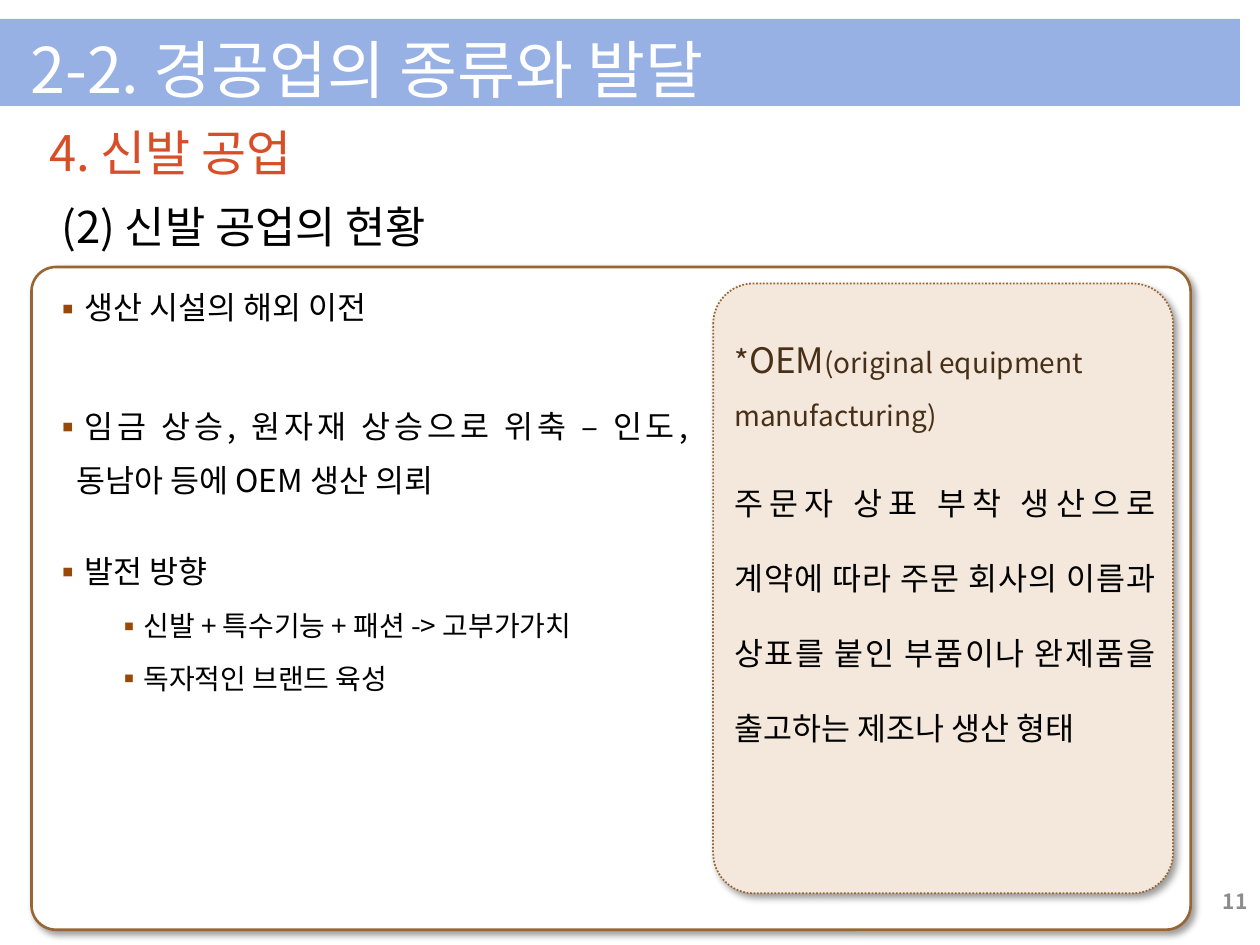
from lxml.etree import SubElement
from pptx import Presentation
from pptx.dml.color import RGBColor
from pptx.enum.dml import MSO_LINE
from pptx.enum.shapes import MSO_SHAPE
from pptx.enum.text import MSO_ANCHOR, MSO_AUTO_SIZE, PP_ALIGN
from pptx.oxml.ns import qn
from pptx.util import Pt

THEME = {
    "font": "Noto Sans CJK KR",
    "colors": {
        "band": "97B1E5", "paper": "FFFFFF", "frame": "996633", "panel": "F4E8DC",
        "section": "D84E28", "ink": "000000", "bullet": "984807",
        "term": "483018", "number": "8C8C8C", "shadow": "000000",
    },
    "sizes": {"title": 36, "section": 28, "topic": 25, "term": 20,
              "body": 18, "detail": 16, "number": 12},
}

# Each paragraph: runs of (text, size, color), then its format values.
TITLE = [{"runs": [("2-2. 경공업의 종류와 발달", "title", "paper")], "line": 44,
          "left": 35.3, "hang": 35.3}]
SECTION = [{"runs": [("4. 신발 공업", "section", "section")], "line": 36,
            "left": 20.9, "hang": -7.2}]
TOPIC = [{"runs": [("(2) 신발 공업의 현황", "topic", "ink")], "line": 32,
          "left": 28.8, "hang": 28.8}]
POINTS = [
    ("생산 시설의 해외 이전", 0, 0),
    ("임금 상승, 원자재 상승으로 위축 – 인도, 동남아 등에 OEM 생산 의뢰", 0, 36.5),
    ("발전 방향", 0, 21),
    ("신발 + 특수기능 + 패션 -> 고부가가치", 1, 2.5),
    ("독자적인 브랜드 육성", 1, 2.5),
]
LEVELS = [
    {"size": "body", "line": 31, "left": 13.7},
    {"size": "detail", "line": 27.5, "left": 49.7},
]
DEFINITION = [
    {"runs": [("*", "body", "term"), ("OEM", "term", "term"),
              ("(original equipment manufacturing)", "detail", "term")], "line": 29.7},
    {"runs": [("주문자 상표 부착 생산으로 계약에 따라 주문 회사의 이름과 상표를 붙인 "
               "부품이나 완제품을 출고하는 제조나 생산 형태", "body", "ink")],
     "line": 43, "before": 8, "align": PP_ALIGN.JUSTIFY},
]
NUMBER = [{"runs": [("11", "number", "number")], "bold": True, "align": PP_ALIGN.RIGHT}]


def color(name):
    """Return a theme colour."""
    return RGBColor.from_string(THEME["colors"][name])


def place(shape, box):
    """Move and size a shape, in points."""
    for name, value in zip(("left", "top", "width", "height"), box):
        setattr(shape, name, Pt(value))


def point_paragraphs():
    """Turn the bullet points into formatted paragraphs."""
    for text, level, before in POINTS:
        style = LEVELS[level]
        yield {"runs": [(text, style["size"], "ink")], "line": style["line"],
               "left": style["left"], "hang": 13.7, "before": before,
               "level": level, "align": PP_ALIGN.JUSTIFY, "bullet": "▪"}


def add_bullet(properties, character):
    """Give a paragraph a coloured bullet."""
    bullet_color = SubElement(properties, qn("a:buClr"))
    SubElement(bullet_color, qn("a:srgbClr"), val=THEME["colors"]["bullet"])
    SubElement(properties, qn("a:buFont"), typeface=THEME["font"])
    SubElement(properties, qn("a:buChar"), char=character)


def write_run(paragraph, text, size, color_name, bold):
    """Add one run with its font."""
    run = paragraph.add_run()
    run.text = text
    values = {"name": THEME["font"], "size": Pt(THEME["sizes"][size]), "bold": bold}
    for name, value in values.items():
        setattr(run.font, name, value)
    run.font.color.rgb = color(color_name)
    SubElement(run.font._element, qn("a:ea"), typeface=THEME["font"])


def write_text(shape, paragraphs, insets=(7.2, 3.6, 7.2, 3.6), anchor=MSO_ANCHOR.TOP):
    """Fill a text frame with formatted paragraphs."""
    frame = shape.text_frame
    values = {"word_wrap": True, "auto_size": MSO_AUTO_SIZE.NONE,
              "vertical_anchor": anchor}
    sides = ("margin_left", "margin_top", "margin_right", "margin_bottom")
    values.update(zip(sides, map(Pt, insets)))
    for name, value in values.items():
        setattr(frame, name, value)
    for index, content in enumerate(paragraphs):
        paragraph = frame.add_paragraph() if index else frame.paragraphs[0]
        formats = {"alignment": content.get("align", PP_ALIGN.LEFT),
                   "level": content.get("level", 0),
                   "space_before": Pt(content.get("before", 0)),
                   "line_spacing": Pt(content["line"]) if "line" in content else 1.0}
        for name, value in formats.items():
            setattr(paragraph, name, value)
        properties = paragraph._p.get_or_add_pPr()
        properties.set("marL", str(Pt(content.get("left", 0))))
        properties.set("indent", str(-Pt(content.get("hang", 0))))
        if "bullet" in content:
            add_bullet(properties, content["bullet"])
        for text, size, color_name in content["runs"]:
            write_run(paragraph, text, size, color_name, content.get("bold", False))


def add_text(shapes, box, paragraphs, **options):
    """Add a text box."""
    shape = shapes.add_textbox(*map(Pt, box))
    write_text(shape, paragraphs, **options)
    return shape


def add_card(shapes, box, fill, corner, line_width, dash=None):
    """Add a rounded card with an outline and a soft shadow."""
    card = shapes.add_shape(MSO_SHAPE.ROUNDED_RECTANGLE, *map(Pt, box))
    card.adjustments[0] = corner
    card.fill.solid()
    card.fill.fore_color.rgb = color(fill)
    card.line.color.rgb = color("frame")
    card.line.width = Pt(line_width)
    if dash:
        card.line.dash_style = dash
    card.shadow.inherit = False
    effects = card._element.spPr.find(qn("a:effectLst"))
    shadow = SubElement(effects, qn("a:outerShdw"), blurRad=str(Pt(4)), dist=str(Pt(3)),
                        dir="2700000", algn="tl", rotWithShape="0")
    tone = SubElement(shadow, qn("a:srgbClr"), val=THEME["colors"]["shadow"])
    SubElement(tone, qn("a:alpha"), val="40000")


def build():
    """Build and save the slide."""
    presentation = Presentation()
    presentation.slide_width, presentation.slide_height = Pt(720), Pt(540)
    slide = presentation.slides.add_slide(presentation.slide_layouts[5])
    shapes, title = slide.shapes, slide.shapes.title

    band = shapes.add_shape(MSO_SHAPE.RECTANGLE, *map(Pt, (0, 10.8, 708.5, 49.7)))
    band.fill.solid()
    band.fill.fore_color.rgb = color("band")
    band.line.fill.background()
    band.shadow.inherit = False
    title.element.addprevious(band.element)
    place(title, (0, 0.7, 581, 57))
    write_text(title, TITLE, insets=(17.3, 16, 0, 0))

    add_card(shapes, (18, 152.6, 662.4, 378.7), "paper", 0.037, 1.5)
    add_text(shapes, (0, 67.7, 683.3, 34), SECTION, insets=(0, 0, 0, 0))
    add_text(shapes, (28, 108.7, 646.6, 37.4), TOPIC)
    add_text(shapes, (23, 151.9, 377.3, 254.2), point_paragraphs())

    definition = shapes.add_group_shape().shapes
    add_card(definition, (407.5, 162, 262.8, 348.5), "panel", 0.088, 1,
             MSO_LINE.ROUND_DOT)
    add_text(definition, (412.6, 175.7, 254.9, 308.9), DEFINITION,
             insets=(7.2, 11.8, 7.2, 3.6))

    add_text(shapes, (552.2, 500.4, 167.8, 28.8), NUMBER, anchor=MSO_ANCHOR.MIDDLE)
    presentation.save("out.pptx")


build()
